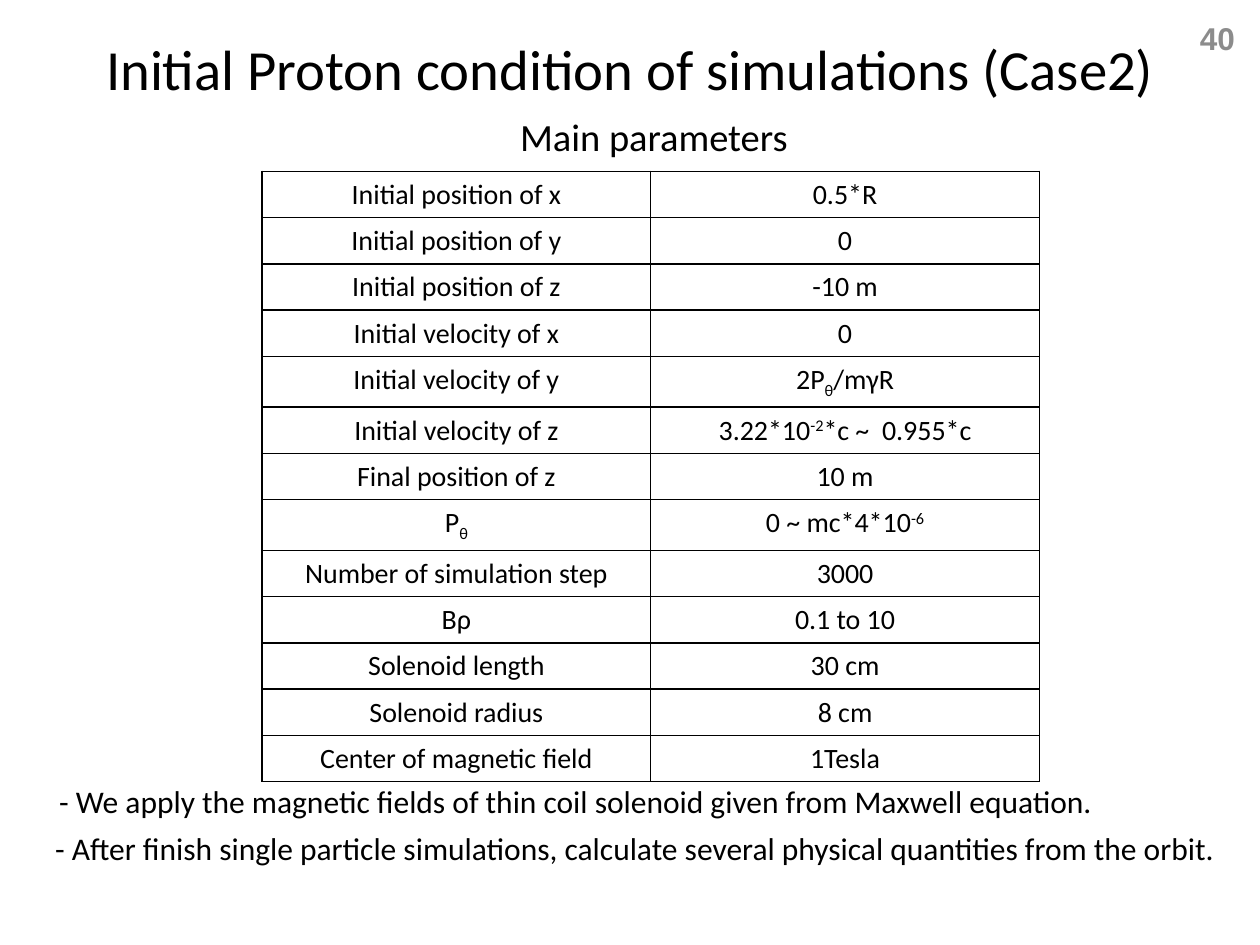
from lxml.etree import SubElement
from pptx import Presentation
from pptx.dml.color import RGBColor
from pptx.enum.text import MSO_ANCHOR, PP_ALIGN
from pptx.oxml.ns import qn
from pptx.util import Inches, Pt

BASELINES = {"sub": "-25000", "super": "30000"}


def write(frame, *parts, size=18, font="Calibri", color="000000", bold=False,
          align=PP_ALIGN.LEFT):
    """Fill the first paragraph; a part is plain text or a (text, script) pair."""
    para = frame.paragraphs[0]
    para.alignment = align
    for part in parts:
        text, script = part if isinstance(part, tuple) else (part, None)
        span = para.add_run()
        span.text = text
        span.font.size = Pt(size)
        span.font.name = font
        span.font.bold = bold
        span.font.color.rgb = RGBColor.from_string(color)
        if script:
            span.font._element.set("baseline", BASELINES[script])


def add_text(page, left, top, width, height, text, anchor=MSO_ANCHOR.TOP,
             wrap=False, **text_format):
    box = page.shapes.add_textbox(Inches(left), Inches(top), Inches(width), Inches(height))
    box.text_frame.word_wrap = wrap
    box.text_frame.vertical_anchor = anchor
    write(box.text_frame, text, **text_format)


deck = Presentation()
deck.slide_width, deck.slide_height = Inches(10), Inches(7.5)
page = deck.slides.add_slide(deck.slide_layouts[6])

add_text(page, 0.5, 0.15, 9, 0.78, "Initial Proton condition of simulations (Case2)",
         anchor=MSO_ANCHOR.MIDDLE, wrap=True, size=32.4, align=PP_ALIGN.CENTER)
add_text(page, 7.57, 0.1, 2.33, 0.4, "40", anchor=MSO_ANCHOR.MIDDLE, wrap=True,
         font="Arial", color="8C8C8C", bold=True, align=PP_ALIGN.RIGHT)
add_text(page, 4.03, 0.85, 2.37, 0.47, "Main parameters", size=22)

# Each row holds the parts of its name and of its value
parameters = [
    (["Initial position of x"], ["0.5*R"]),
    (["Initial position of y"], ["0"]),
    (["Initial position of z"], ["-10 m"]),
    (["Initial velocity of x"], ["0"]),
    (["Initial velocity of y"], ["2P", ("θ", "sub"), "/mγR"]),
    (["Initial velocity of z"], ["3.22*10", ("-2", "super"), "*c ~  0.955*c"]),
    (["Final position of z"], ["10 m"]),
    (["P", ("θ", "sub")], ["0 ~ mc*4*10", ("-6", "super")]),
    (["Number of simulation step"], ["3000"]),
    (["Bρ"], ["0.1 to 10"]),
    (["Solenoid length"], ["30 cm"]),
    (["Solenoid radius"], ["8 cm"]),
    (["Center of magnetic field"], ["1Tesla"]),
]
row_height = 0.35
table = page.shapes.add_table(
    len(parameters), 2, Inches(2.08), Inches(1.36),
    Inches(6.17), Inches(row_height * len(parameters))).table
table.first_row = table.horz_banding = False

for row, parameter in enumerate(parameters):
    for column, parts in enumerate(parameter):
        cell = table.cell(row, column)
        write(cell.text_frame, *parts, size=16, align=PP_ALIGN.CENTER)
        properties = cell._tc.get_or_add_tcPr()
        for side in ("lnL", "lnR", "lnT", "lnB"):
            border = SubElement(properties, qn(f"a:{side}"), w=str(Pt(1)))
            fill = SubElement(border, qn("a:solidFill"))
            SubElement(fill, qn("a:srgbClr"), val="000000")
        cell.fill.background()

add_text(page, 0.37, 6.16, 8.51, 0.4,
         "- We apply the magnetic fields of thin coil solenoid given from Maxwell equation.")
add_text(page, 0.34, 6.53, 9.53, 0.4,
         "- After finish single particle simulations, calculate several physical quantities "
         "from the orbit.")

deck.save("out.pptx")
